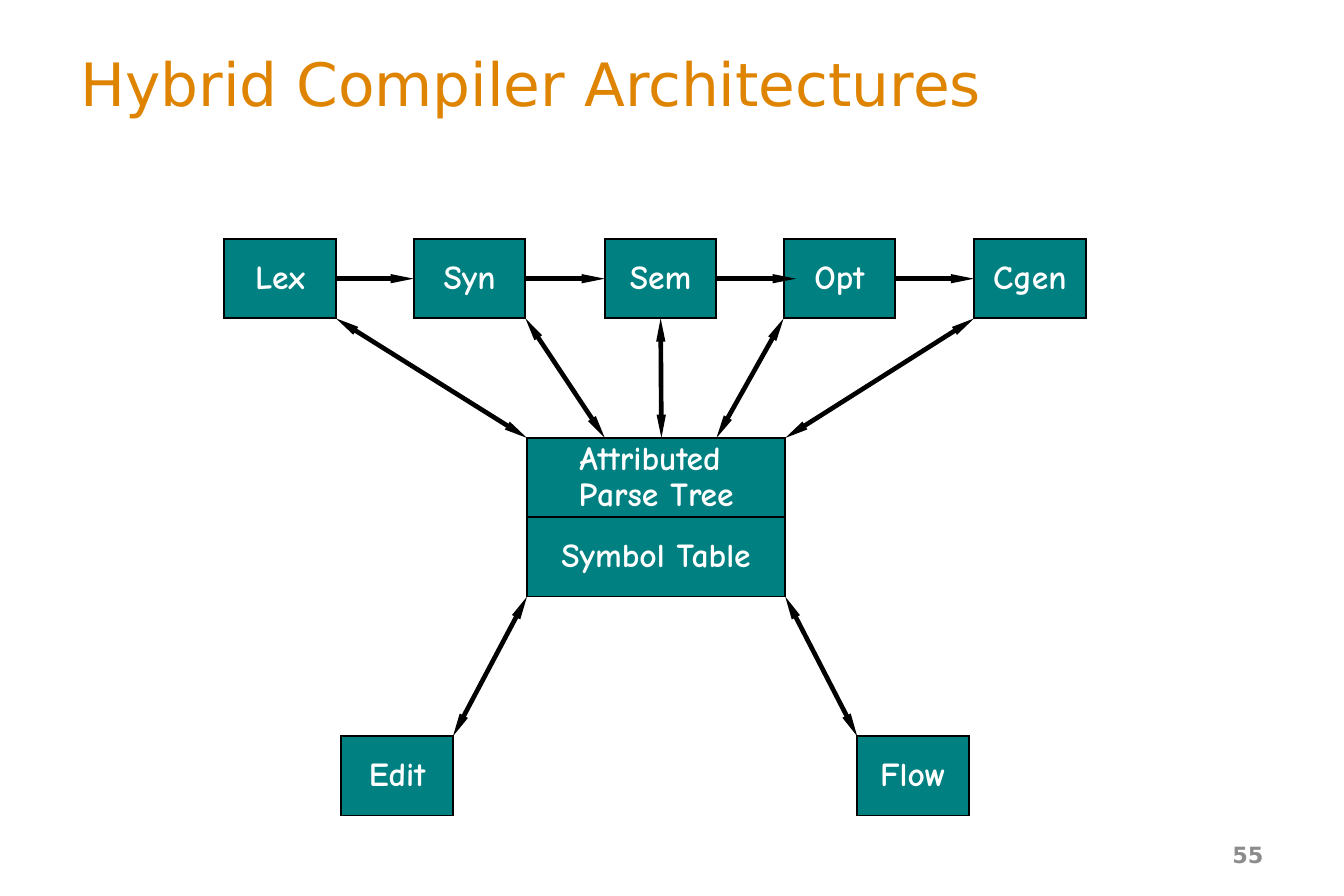
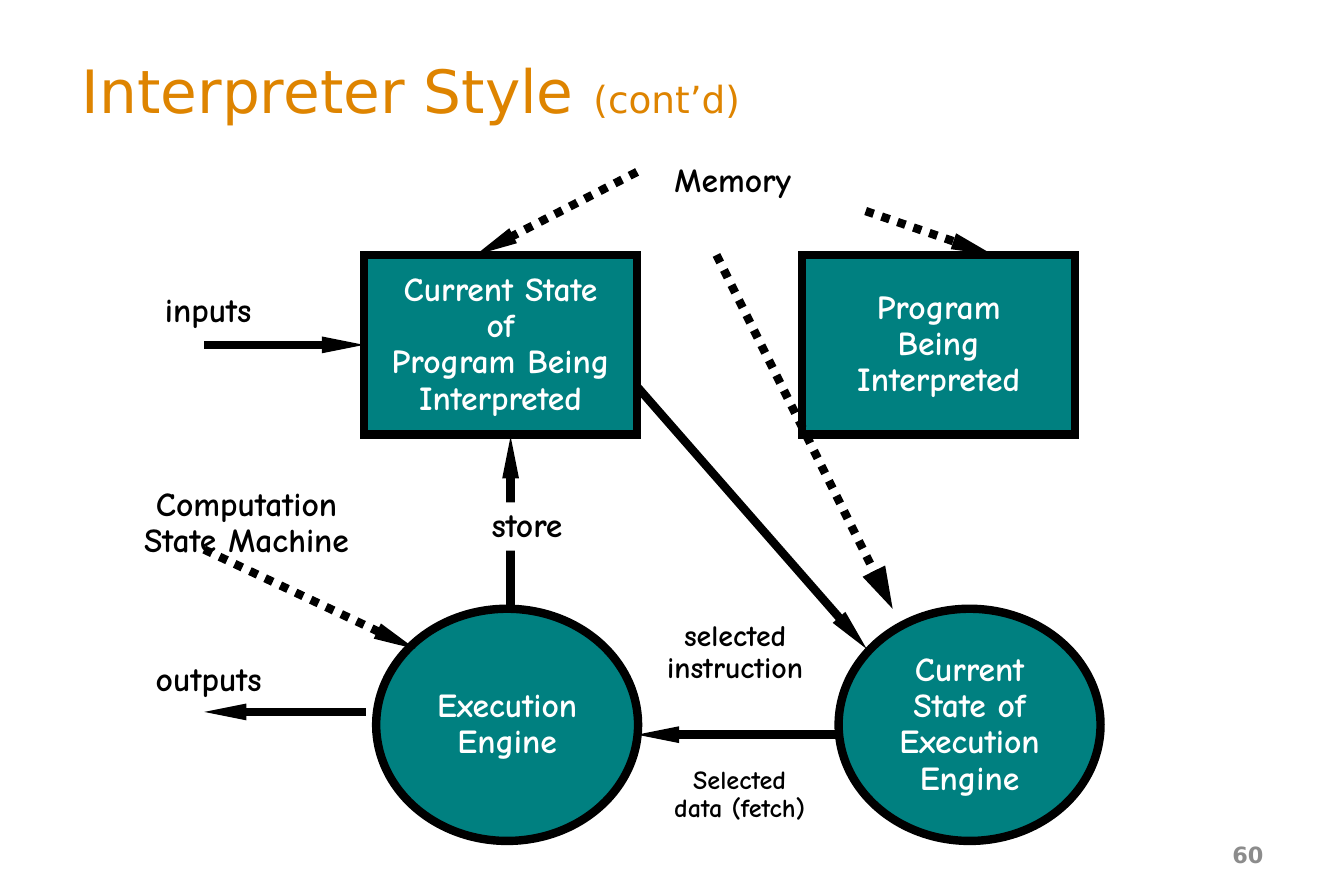
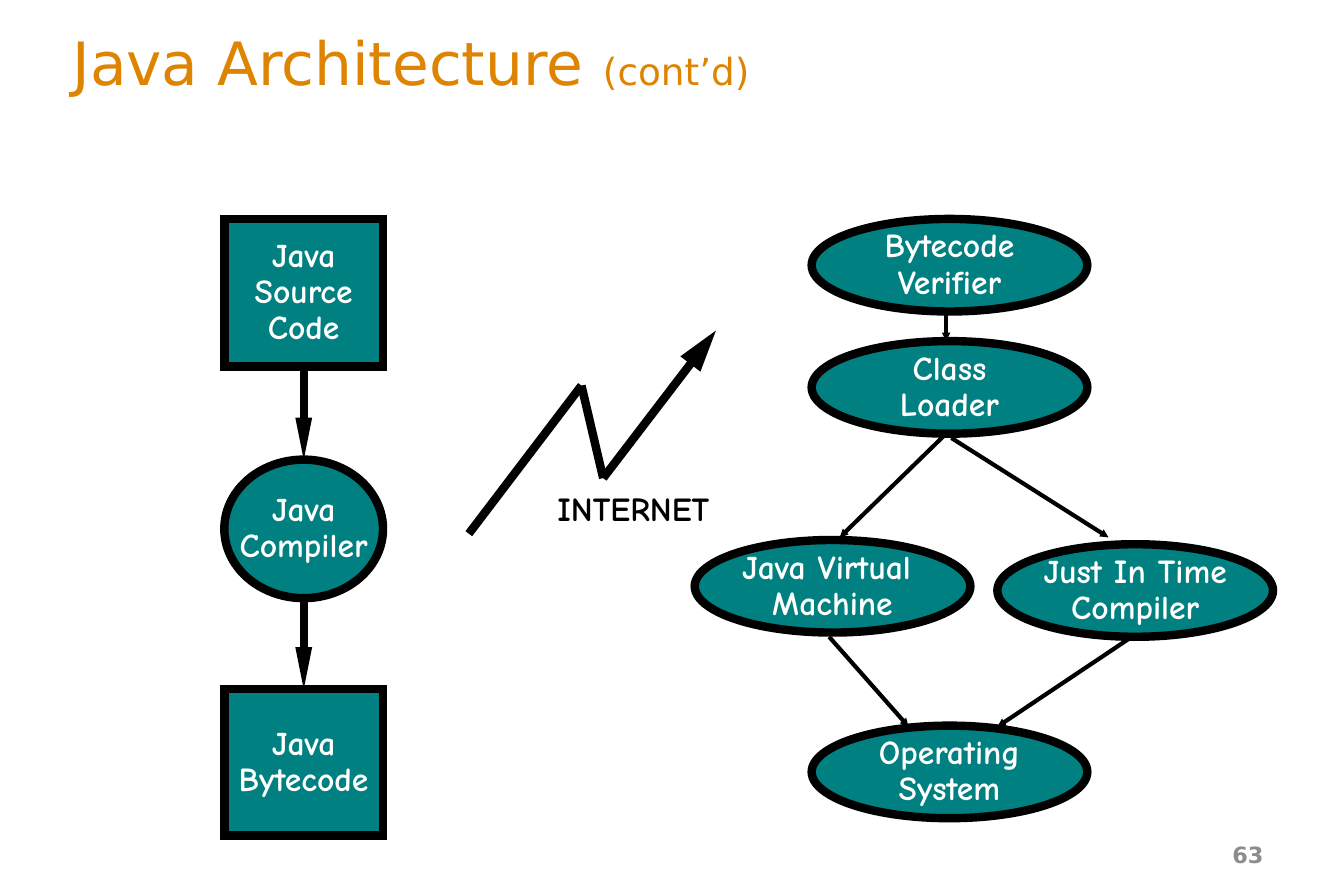
import dataclasses

import lxml.etree
import pptx
import pptx.dml.color
import pptx.enum.dml
import pptx.enum.shapes
import pptx.enum.text
import pptx.oxml.ns
import pptx.util

Cm = pptx.util.Cm
Pt = pptx.util.Pt
qn = pptx.oxml.ns.qn
ALIGN = pptx.enum.text.PP_ALIGN
RECTANGLE = pptx.enum.shapes.MSO_SHAPE.RECTANGLE
OVAL = pptx.enum.shapes.MSO_SHAPE.OVAL
TOP, LEFT, BOTTOM, RIGHT = range(4)


@dataclasses.dataclass(frozen=True)
class Theme:
    title_color: str = "DE8400"
    node_color: str = "008080"
    ink: str = "000000"
    paper: str = "FFFFFF"
    number_color: str = "8C8C8C"
    title_font: str = "DejaVu Sans"
    label_font: str = "Comic Neue"
    title_size: float = 32
    suffix_size: float = 20
    label_size: float = 18
    note_size: float = 16
    small_size: float = 14
    number_size: float = 12
    bold_line: float = 4.5
    flow_line: float = 2.5
    thin_line: float = 2.25
    hairline: float = 1
    spacing: float = 0.9


THEME = Theme()


@dataclasses.dataclass(frozen=True)
class Box:
    """A region in centimetres."""
    left: float
    top: float
    width: float
    height: float

    def inner(self, left, top, width, height):
        return Box(self.left + left, self.top + top, width, height)

    def point(self, x, y):
        return Cm(self.left + x), Cm(self.top + y)

    def lengths(self):
        return [Cm(value) for value in dataclasses.astuple(self)]


@dataclasses.dataclass(frozen=True)
class Joint:
    """The middle of one side of a shape."""
    shape: object
    side: int


def rgb(color):
    return pptx.dml.color.RGBColor.from_string(color)


# ---- Text ----
def add_span(para, text, font, size, color, bold=False):
    span = para.add_run()
    span.text = text
    span.font.name = font
    span.font.size = Pt(size)
    span.font.bold = bold
    span.font.color.rgb = rgb(color)


def write_label(shape, paragraphs, color, size):
    """Centred lines; a newline inside a paragraph is a line break."""
    frame = shape.text_frame
    frame.word_wrap = False
    frame.vertical_anchor = pptx.enum.text.MSO_ANCHOR.MIDDLE
    for index, text in enumerate(paragraphs):
        para = frame.paragraphs[0] if index == 0 else frame.add_paragraph()
        para.alignment = ALIGN.CENTER
        para.line_spacing = THEME.spacing
        for row, piece in enumerate(text.split("\n")):
            if row:
                para.add_line_break()
            add_span(para, piece, THEME.label_font, size, color, bold=True)


def add_label(page, box, *paragraphs, size=THEME.label_size):
    shape = page.shapes.add_textbox(*box.lengths())
    write_label(shape, paragraphs, THEME.ink, size)


def add_heading_box(page, box, alignment):
    frame = page.shapes.add_textbox(*box.lengths()).text_frame
    frame.word_wrap = True
    frame.vertical_anchor = pptx.enum.text.MSO_ANCHOR.MIDDLE
    para = frame.paragraphs[0]
    para.alignment = alignment
    return para


# ---- Nodes and arrows ----
def add_node(page, kind, box, *paragraphs, weight=THEME.bold_line):
    shape = page.shapes.add_shape(kind, *box.lengths())
    shape.shadow.inherit = False
    shape.fill.solid()
    shape.fill.fore_color.rgb = rgb(THEME.node_color)
    shape.line.color.rgb = rgb(THEME.ink)
    shape.line.width = Pt(weight)
    outline = shape.element.spPr.find(qn("a:ln"))
    lxml.etree.SubElement(outline, qn("a:miter"), lim="800000")
    write_label(shape, paragraphs, THEME.paper, THEME.label_size)
    return shape


def add_arrow(page, area, start, end, weight=THEME.bold_line, ends=("tail",),
              head_width="sm", head_length="lg", dotted=False):
    """Each end is a point inside the area or a Joint."""
    points = [(0, 0) if isinstance(spot, Joint) else area.point(*spot)
              for spot in (start, end)]
    line = page.shapes.add_connector(
        pptx.enum.shapes.MSO_CONNECTOR.STRAIGHT, *points[0], *points[1])
    if isinstance(start, Joint):
        line.begin_connect(start.shape, start.side)
    if isinstance(end, Joint):
        line.end_connect(end.shape, end.side)
    line.line.color.rgb = rgb(THEME.ink)
    line.line.width = Pt(weight)
    if dotted:
        line.line.dash_style = pptx.enum.dml.MSO_LINE.ROUND_DOT
    properties = line.element.spPr
    outline = properties.find(qn("a:ln"))
    for name in ends:
        lxml.etree.SubElement(outline, qn(f"a:{name}End"), type="triangle",
                              w=head_width, len=head_length)
    lxml.etree.SubElement(properties, qn("a:effectLst"))


# ---- Page frame ----
def add_page(deck, title_box, title, number, suffix=""):
    page = deck.slides.add_slide(deck.slide_layouts[6])
    para = add_heading_box(page, title_box, ALIGN.LEFT)
    add_span(para, title, THEME.title_font, THEME.title_size, THEME.title_color)
    if suffix:
        add_span(para, suffix, THEME.title_font, THEME.suffix_size,
                 THEME.title_color)
    para = add_heading_box(page, Box(18.21, 15.7, 5.92, 0.91), ALIGN.RIGHT)
    add_span(para, number, THEME.title_font, THEME.number_size,
             THEME.number_color, bold=True)
    return page


# ---- Compiler phases around shared data ----
def draw_hybrid_compiler(page, area):
    width, height = 2.11, 1.5
    store_left, store_top, store_width = 5.72, 3.76, 4.88
    store_right, store_bottom = store_left + store_width, store_top + 2 * height
    tool_top = 9.4

    def block(left, top, *text, block_width=width):
        return add_node(page, RECTANGLE,
                        area.inner(left, top, block_width, height),
                        *text, weight=THEME.hairline)

    def link(start, end, ends=("head", "tail")):
        add_arrow(page, area, start, end, THEME.flow_line, ends)

    # Phases, tools and shared data
    lefts = {"Lex": 0, "Syn": 3.58, "Sem": 7.19, "Opt": 10.57, "Cgen": 14.17}
    phases = {name: block(left, 0, name) for name, left in lefts.items()}
    edit_left, flow_left = 2.21, 11.96
    block(edit_left, tool_top, "Edit")
    block(flow_left, tool_top, "Flow")
    block(store_left, store_top, "Attributed ", "Parse Tree",
          block_width=store_width)
    block(store_left, store_top + height, "Symbol Table",
          block_width=store_width)

    # Pipeline; the arrow into Opt reaches just past its edge
    names = list(phases)
    for name, following in zip(names, names[1:]):
        end = Joint(phases[following], LEFT)
        if following == "Opt":
            end = (10.8, height / 2)
        link(Joint(phases[name], RIGHT), end, ends=("tail",))

    # Phases and tools to the shared data
    link(Joint(phases["Sem"], BOTTOM), (8.26, store_top))
    for x, store_x in ((lefts["Lex"] + width, store_left),
                       (lefts["Syn"] + width, 7.19),
                       (lefts["Opt"], 9.3),
                       (lefts["Cgen"], store_right)):
        link((x, height), (store_x, store_top))
    link((edit_left + width, tool_top), (store_left, store_bottom))
    link((flow_left, tool_top), (store_right, store_bottom))


# ---- Interpreter ----
def draw_interpreter(page, area):
    memory_top, engine_top = 1.9, 8.59

    def memory(left, *text):
        return add_node(page, RECTANGLE,
                        area.inner(left, memory_top, 5.16, 3.4), *text)

    def engine(left, *text):
        add_node(page, OVAL, area.inner(left, engine_top, 4.95, 4.39), *text)

    # Nodes
    add_label(page, area.inner(0, 6.15, 6.78, 1.65),
              "Computation", "State Machine")
    state = memory(5.61, "Current State", "of", "Program Being", "Interpreted")
    memory(13.89, "Program", "Being", "Interpreted")
    engine(5.84, "Execution", "Engine")
    engine(14.58, "Current", "State of", "Execution", "Engine")

    # Data flow
    for start, end in (((5.64, 10.54), (2.59, 10.54)),
                       ((2.59, 3.6), Joint(state, LEFT)),
                       ((8.38, engine_top), (8.38, 5.33)),
                       ((10.77, 4.39), (15.11, 9.35)),
                       ((14.58, 10.97), (10.77, 10.97))):
        add_arrow(page, area, start, end)

    # Pointers from the names of the parts
    for start, end, head_width in (
            ((2.59, 7.47), (6.58, 9.35), "sm"),
            ((10.77, 0.33), (7.72, memory_top), "sm"),
            ((15.09, 1.07), (17.5, memory_top), "sm"),
            ((12.27, memory_top), (15.6, engine_top), "med")):
        add_arrow(page, area, start, end, head_width=head_width, dotted=True)

    # Labels
    add_label(page, area.inner(1.47, 2.46, 2.39, 1.04), "inputs")
    add_label(page, area.inner(1.24, 9.42, 2.87, 1.04), "outputs")
    add_label(page, area.inner(11.07, 0, 3.02, 1.04), "Memory")
    add_label(page, area.inner(10.87, 8.61, 3.51, 1.63),
              "selected", "instruction", size=THEME.note_size)
    add_label(page, area.inner(10.92, 11.38, 3.58, 1.47),
              "Selected", "data (fetch)", size=THEME.small_size)
    store = page.shapes.add_shape(
        RECTANGLE, *area.inner(6.58, 6.58, 4.22, 0.91).lengths())
    store.shadow.inherit = False
    store.fill.solid()
    store.fill.fore_color.rgb = rgb(THEME.paper)
    store.line.fill.background()
    write_label(store, ["store"], THEME.ink, THEME.label_size)


# ---- Java: compile column ----
def draw_compile_column(page, area):
    middle = area.width / 2
    source = add_node(page, RECTANGLE, area.inner(0, 0, area.width, 2.79),
                      "Java", "Source", "Code")
    bytecode = add_node(page, RECTANGLE, area.inner(0, 8.89, area.width, 2.77),
                        "Java", "Bytecode")
    add_node(page, OVAL, area.inner(0, 4.55, area.width, 2.62),
             "Java", "Compiler")
    add_arrow(page, area, Joint(source, BOTTOM), (middle, 4.55))
    add_arrow(page, area, (middle, 7.17), Joint(bytecode, TOP))


# ---- Java: transfer bolt ----
def draw_internet(page, area):
    low, peak, dip, tip = (0, 3.84), (2.13, 1.04), (2.54, 2.79), (4.67, 0)
    add_arrow(page, area, low, peak, ends=())
    add_arrow(page, area, dip, tip, head_width="med")
    add_arrow(page, area, dip, peak, ends=())
    add_label(page, area.inner(1.09, 2.92, 4.04, 0.97), "INTERNET")


# ---- Java: runtime ----
def draw_runtime(page, area):
    width, height, centre_left = 5.21, 1.75, 2.21
    for start, end in (((4.75, height), (4.75, 2.31)),
                       ((4.75, 4.06), (2.74, 6.02)),
                       ((4.85, 4.14), (7.82, 6.02)),
                       ((2.54, 7.9), (4.04, 9.6)),
                       ((8.26, 7.9), (5.72, 9.6))):
        add_arrow(page, area, start, end, THEME.thin_line, head_length="sm")
    for left, top, text in (
            (centre_left, 0, ["Bytecode", "Verifier"]),
            (centre_left, 2.31, ["Class", "Loader"]),
            (0, 6.07, ["Java Virtual \nMachine"]),
            (centre_left, 9.58, ["Operating\nSystem"]),
            (5.72, 6.15, ["Just In Time", "Compiler"])):
        add_node(page, OVAL, area.inner(left, top, width, height), *text)


def main():
    deck = pptx.Presentation()
    deck.slide_width, deck.slide_height = Cm(25.4), Cm(16.94)

    page = add_page(deck, Box(1.27, 0.69, 22.86, 1.73),
                    "Hybrid Compiler Architectures", "55")
    draw_hybrid_compiler(page, Box(4.24, 4.52, 16.28, 10.9))

    page = add_page(deck, Box(1.3, 0.94, 22.86, 1.5),
                    "Interpreter Style ", "60", "(cont’d)")
    draw_interpreter(page, Box(1.27, 2.92, 19.53, 12.98))

    page = add_page(deck, Box(1.12, 0.61, 22.86, 1.12),
                    "Java Architecture ", "63", "(cont’d)")
    draw_compile_column(page, Box(4.24, 4.14, 3, 11.66))
    draw_internet(page, Box(8.86, 6.25, 5.13, 3.89))
    draw_runtime(page, Box(13.13, 4.14, 10.93, 11.33))

    deck.save("out.pptx")


if __name__ == "__main__":
    main()
